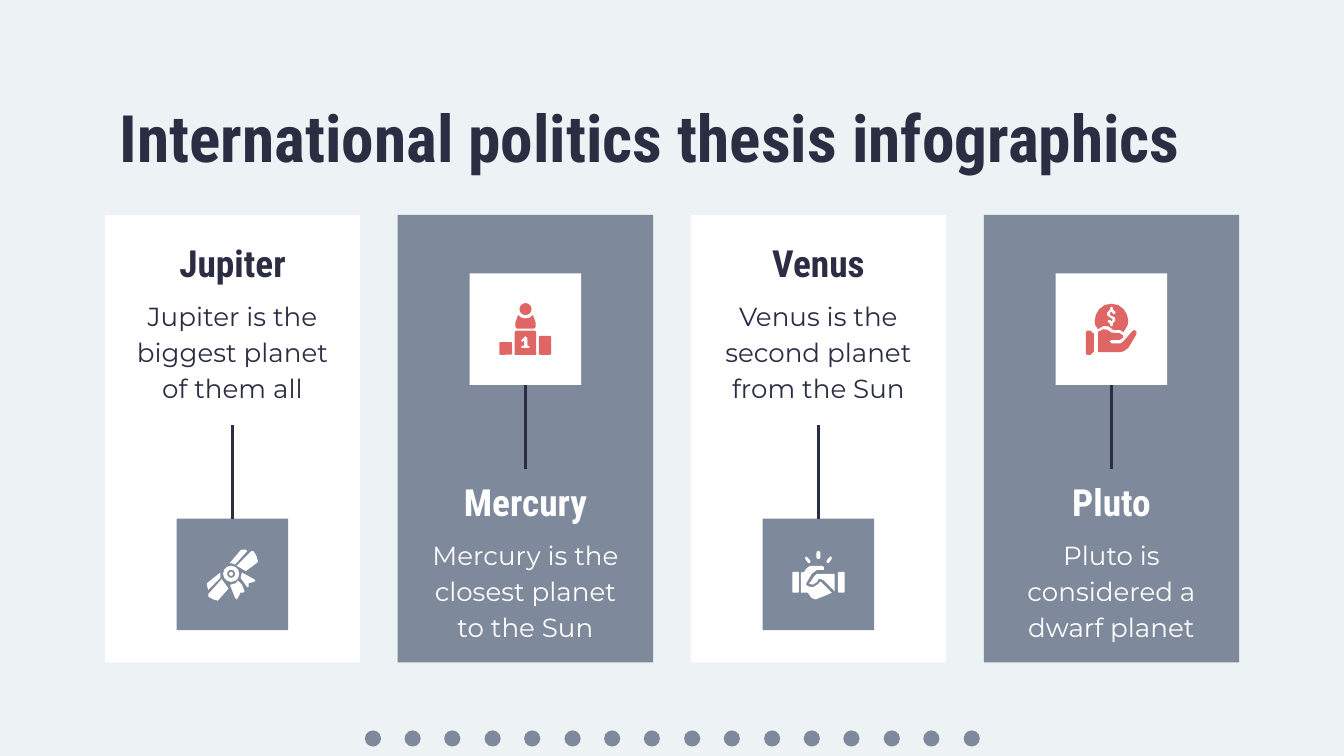
from dataclasses import dataclass

from lxml import etree
from pptx import Presentation
from pptx import util as u
from pptx.dml import color
from pptx.enum import shapes, text
from pptx.oxml import ns

SCALE = u.Inches(1) // 200


@dataclass(frozen=True)
class Theme:
    ground: str = "EDF2F4"
    slate: str = "7E899C"
    ink: str = "2B2D42"
    white: str = "FFFFFF"
    coral: str = "E06666"
    heading: str = "Roboto Condensed"
    body: str = "Montserrat"
    title_size: int = 35
    label_size: int = 20
    body_size: int = 14
    line_width: float = 1.5


class Page:
    def __init__(self, deck, theme):
        self.theme = theme
        self.slide = deck.slides.add_slide(deck.slide_layouts[6])
        fill = self.slide.background.fill
        fill.solid()
        fill.fore_color.rgb = color.RGBColor.from_string(theme.ground)

    def paint(self, shape, tone):
        shape.shadow.inherit = False
        shape.fill.solid()
        shape.fill.fore_color.rgb = color.RGBColor.from_string(tone)
        shape.line.fill.background()
        return shape

    def preset(self, kind, left, top, width, height, tone):
        lengths = [value * SCALE for value in (left, top, width, height)]
        return self.paint(self.slide.shapes.add_shape(kind, *lengths), tone)

    def rect(self, left, top, width, height, tone):
        return self.preset(shapes.MSO_SHAPE.RECTANGLE, left, top, width, height, tone)

    def rounded(self, left, top, width, height, tone):
        kind = shapes.MSO_SHAPE.ROUNDED_RECTANGLE
        return self.preset(kind, left, top, width, height, tone)

    def circle(self, left, top, size, tone):
        return self.preset(shapes.MSO_SHAPE.OVAL, left, top, size, size, tone)

    def ring(self, left, top, size, tone):
        return self.preset(shapes.MSO_SHAPE.DONUT, left, top, size, size, tone)

    def outline(self, x, y, tone, *contours):
        builder = None
        for contour in contours:
            points = [(x + across, y + down) for across, down in contour]
            if builder is None:
                builder = self.slide.shapes.build_freeform(*points[0], scale=SCALE)
            else:
                builder.move_to(*points[0])
            builder.add_line_segments(points[1:], close=True)
        return self.paint(builder.convert_to_shape(), tone)

    def stem(self, x, top, bottom):
        line = self.slide.shapes.add_connector(
            shapes.MSO_CONNECTOR.STRAIGHT,
            x * SCALE, top * SCALE, x * SCALE, bottom * SCALE)
        line.line.color.rgb = color.RGBColor.from_string(self.theme.ink)
        line.line.width = u.Pt(self.theme.line_width)
        etree.SubElement(line._element.spPr, ns.qn("a:effectLst"))

    def label(self, words, left, top, width, height, font, size, tone,
              bold=False, align=text.PP_ALIGN.CENTER,
              anchor=text.MSO_ANCHOR.TOP, spacing=None):
        lengths = [value * SCALE for value in (left, top, width, height)]
        frame = self.slide.shapes.add_textbox(*lengths).text_frame
        frame.word_wrap = True
        frame.vertical_anchor = anchor
        frame.margin_left = frame.margin_right = 20 * SCALE
        frame.margin_top = frame.margin_bottom = 20 * SCALE
        para = frame.paragraphs[0]
        para.alignment = align
        if spacing:
            para.line_spacing = spacing
        span = para.add_run()
        span.text = words
        span.font.name = font
        span.font.size = u.Pt(size)
        span.font.bold = bold
        span.font.color.rgb = color.RGBColor.from_string(tone)


def draw_diploma(page, x, y, tone):
    ribbons = (
        [(30, -35), (28, -35), (6, -13), (10, -11), (20, -5), (36, -17),
         (38, -19), (36, -27), (32, -34)],
        [(8, 9), (5, 13), (-2, 15), (-4, 15), (4, 35), (6, 37), (8, 35),
         (12, 27), (16, 27), (18, 25), (14, 15)],
        [(14, -3), (12, 5), (22, 19), (24, 18), (24, 13), (32, 11), (34, 9), (32, 7)],
        [(-16, 7), (-36, 29), (-36, 33), (-29, 37), (-22, 39), (-20, 37), (-6, 21)],
        [(14, -37), (12, -36), (-4, -17), (-2, -17), (4, -15), (22, -35), (20, -37)],
        [(-18, -3), (-38, 13), (-38, 16), (-36, 23), (-18, 5)],
    )
    for ribbon in ribbons:
        page.outline(x, y, tone, ribbon)
    page.ring(x - 14, y - 13, 24, tone)
    page.circle(x - 5, y - 4, 6, tone)


def draw_podium(page, x, y, tone):
    shoulders = [(-11, -21), (-15, -10), (-15, -3), (-13, -1), (13, -1), (15, -3),
                 (15, -10), (11, -21), (6, -17), (0, -16), (-6, -17)]
    block = [(-14, 2), (14, 2), (16, 4), (16, 38), (-16, 38), (-16, 4)]
    numeral = [(0, 10), (3, 13), (3, 24), (6, 25), (6, 28), (-6, 28), (-6, 25),
               (-2, 24), (-2, 17), (-5, 19), (-7, 17), (-1, 11)]
    page.circle(x - 9, y - 39, 18, tone)
    page.outline(x, y, tone, shoulders)
    page.rounded(x + 20, y + 10, 18, 28, tone).adjustments[0] = 0.1
    page.rounded(x - 39, y + 19, 19, 19, tone).adjustments[0] = 0.1
    page.outline(x, y, tone, block, numeral)


def draw_handshake(page, x, y, tone):
    ray = [(-18, -27), (-20, -25), (-19, -22), (-15, -17), (-12, -18), (-12, -21)]
    near_hand = [(-2, -1), (-6, 2), (-14, 14), (-8, 15), (-2, 11), (0, 7), (4, 7),
                 (8, 9), (24, 25), (24, -1)]
    far_hand = [(-12, -13), (-18, -9), (-21, -4), (-26, -3), (-26, 27), (-16, 27),
                (-10, 35), (-4, 37), (16, 29), (20, 27), (4, 11), (2, 11), (0, 14),
                (-8, 19), (-14, 18), (-19, 15), (-18, 13), (-10, -1), (-2, -7),
                (8, -7), (8, -11), (6, -13)]
    page.rounded(x - 3, y - 35, 6, 12, tone).adjustments[0] = 0.5
    for side in (1, -1):
        page.outline(x, y, tone, [(across * side, down) for across, down in ray])
    for left in (-39, 29):
        page.rounded(x + left, y - 4, 10, 31, tone).adjustments[0] = 0.2
    page.outline(x, y, tone, near_hand)
    page.outline(x, y, tone, far_hand)


def draw_coin_hand(page, x, y, tone):
    cuff = [(-36, 2), (-31, 2), (-26, 7), (-26, 33), (-31, 38), (-36, 38),
            (-38, 36), (-38, 4)]
    coin = [(0, -38), (10, -36), (18, -30), (23, -22), (25, -13), (24, -6), (18, 4),
            (12, 1), (3, 1), (-4, -4), (-12, -5), (-20, 0), (-24, -6), (-25, -13),
            (-23, -22), (-18, -30), (-10, -36)]
    dollar = [(0, -34), (2, -32), (2, -30), (6, -26), (6, -23), (3, -22), (0, -26),
              (-2, -24), (-2, -22), (0, -20), (5, -18), (6, -13), (2, -8), (2, -5),
              (0, -4), (-2, -5), (-2, -8), (-6, -11), (-5, -14), (-2, -14), (0, -12),
              (2, -14), (0, -16), (-6, -20), (-7, -24), (-2, -30), (-2, -32)]
    palm = [(-20, 4), (-12, 0), (-6, 1), (0, 5), (12, 6), (17, 9), (17, 13), (12, 16),
            (0, 16), (-3, 18), (0, 21), (14, 21), (18, 18), (30, 4), (34, 1), (37, 3),
            (37, 8), (25, 28), (18, 33), (12, 34), (-20, 34)]
    page.outline(x, y, tone, cuff)
    page.outline(x, y, tone, coin, dollar)
    page.outline(x, y, tone, palm)


def draw_card(page, left, name, words, draw_icon, dark):
    theme = page.theme
    if dark:
        panel, tile, ink, icon = theme.slate, theme.white, theme.white, theme.coral
        tile_top, label_top, stem_top, stem_bottom = 407, 698, 573, 698
    else:
        panel, tile, ink, icon = theme.white, theme.slate, theme.ink, theme.white
        tile_top, label_top, stem_top, stem_bottom = 772, 342, 632, 772
    middle = left + 190
    page.rect(left, 320, 380, 666, panel)
    page.label(name, left + 12, label_top, 356, 98, theme.heading, theme.label_size,
               ink, bold=True, anchor=text.MSO_ANCHOR.MIDDLE)
    page.label(words, left + 12, label_top + 78, 356, 212, theme.body,
               theme.body_size, ink, spacing=1.15)
    page.rect(middle - 83, tile_top, 166, 166, tile)
    page.stem(middle, stem_top, stem_bottom)
    draw_icon(page, middle, tile_top + 83, icon)


def main():
    theme = Theme()
    deck = Presentation()
    deck.slide_width, deck.slide_height = 2000 * SCALE, 1125 * SCALE
    page = Page(deck, theme)
    for index in range(16):
        page.circle(543 + index * 891 // 15, 1087, 24, theme.slate)
    page.label("International politics thesis infographics", 158, 124, 1684, 124,
               theme.heading, theme.title_size, theme.ink, bold=True,
               align=text.PP_ALIGN.LEFT)
    cards = (
        ("Jupiter", "Jupiter is the biggest planet of them all", draw_diploma),
        ("Mercury", "Mercury is the closest planet to the Sun", draw_podium),
        ("Venus", "Venus is the second planet from the Sun", draw_handshake),
        ("Pluto", "Pluto is considered a dwarf planet", draw_coin_hand),
    )
    for index, (name, words, draw_icon) in enumerate(cards):
        draw_card(page, 156 + index * 436, name, words, draw_icon, index % 2 == 1)
    deck.save("out.pptx")


if __name__ == "__main__":
    main()
